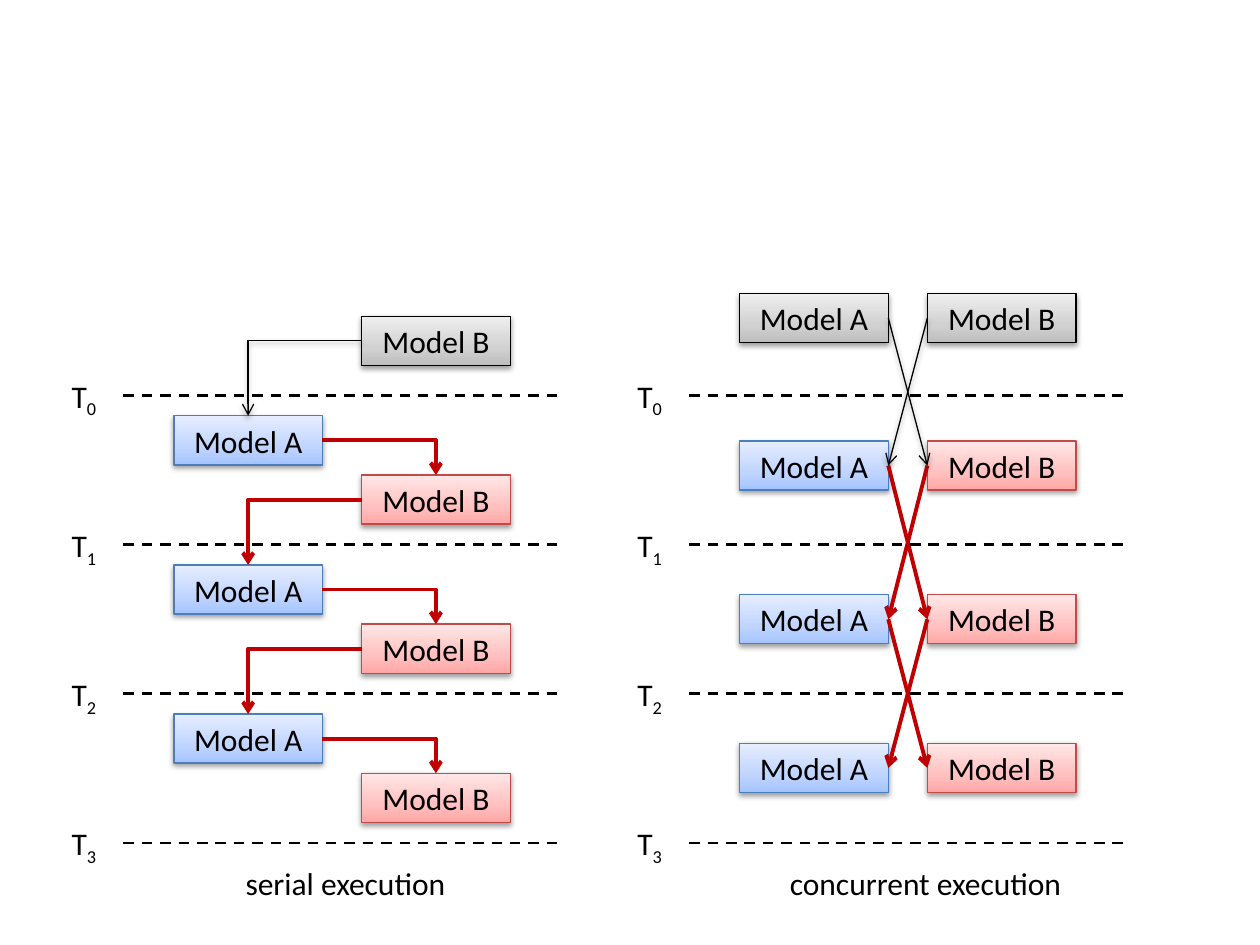
import copy

import lxml.etree
import pptx
import pptx.dml.color
import pptx.enum.dml
import pptx.enum.shapes
import pptx.enum.text
import pptx.oxml.ns
import pptx.util

Inches = pptx.util.Inches
Pt = pptx.util.Pt
qn = pptx.oxml.ns.qn

START, END, STEPS = 3.14, 6.69, 3
STEP = (END - START) / STEPS
PANELS = [
    {
        "caption": "serial execution", "caption_at": (1.85, 1.81),
        "shift": 0, "elbow": True,
        "rows": [(2.51, "B")] + [
            (first + STEP * turn, model)
            for turn in range(STEPS) for first, model in ((3.3, "A"), (3.77, "B"))
        ],
    },
    {
        "caption": "concurrent execution", "caption_at": (6.17, 2.38),
        "shift": 4.49, "elbow": False,
        "rows": [(2.33, "AB"), (3.5, "AB"), (4.72, "AB"), (5.9, "AB")],
    },
]
MODEL_LEFT = {"A": 1.38, "B": 2.87}
BOX_WIDTH, BOX_HEIGHT = 1.18, 0.39
TOP, LEFT, RIGHT = 0, 1, 3
INNER_SIDE = {"A": RIGHT, "B": LEFT}

COLORS = {"text": "000000", "prior": "000000", "exchange": "C00000"}
BOX_COLORS = {
    "A": {"stops": ["A4C4FF", "BFD4FF", "E6EEFF"], "line": "4B7EBC"},
    "B": {"stops": ["FFA6A5", "FFC0BF", "FFE7E7"], "line": "BF4C48"},
    "prior": {"stops": ["BDBDBD", "D1D1D1", "EEEEEE"], "line": "000000"},
}
STOP_POSITIONS = [0, 0.35, 1]


def rgb(value):
    return pptx.dml.color.RGBColor.from_string(value)


def write(frame, text, subscript="", align=pptx.enum.text.PP_ALIGN.LEFT,
          anchor=pptx.enum.text.MSO_ANCHOR.TOP, wrap=False, size=18):
    frame.word_wrap = wrap
    frame.vertical_anchor = anchor
    if not wrap:
        frame.auto_size = pptx.enum.text.MSO_AUTO_SIZE.SHAPE_TO_FIT_TEXT
    para = frame.paragraphs[0]
    para.alignment = align
    for part in filter(None, (text, subscript)):
        span = para.add_run()
        span.text = part
        span.font.size = Pt(size)
        span.font.name = "Calibri"
        span.font.color.rgb = rgb(COLORS["text"])
    if subscript:
        span._r.get_or_add_rPr().set("baseline", "-25000")


def set_effects(shape, shadow):
    properties = shape._element.spPr
    effects = properties.find(qn("a:effectLst"))
    if effects is None:
        effects = lxml.etree.SubElement(properties, qn("a:effectLst"))
    if shadow:
        outer = lxml.etree.SubElement(
            effects, qn("a:outerShdw"), blurRad="40000", dist="20000",
            dir="5400000", rotWithShape="0")
        color = lxml.etree.SubElement(outer, qn("a:srgbClr"), val="000000")
        lxml.etree.SubElement(color, qn("a:alpha"), val="38000")


def add_label(shapes, left, top, width, text, subscript=""):
    label = shapes.add_textbox(Inches(left), Inches(top), Inches(width), Inches(0.4))
    write(label.text_frame, text, subscript=subscript)


def add_model(page, model, left, top, style):
    box = page.shapes.add_shape(
        pptx.enum.shapes.MSO_SHAPE.RECTANGLE,
        Inches(left), Inches(top), Inches(BOX_WIDTH), Inches(BOX_HEIGHT))
    box.fill.gradient()
    box.fill.gradient_angle = 90
    stop_list = box._element.spPr.find(qn("a:gradFill")).find(qn("a:gsLst"))
    stop_list.append(copy.deepcopy(stop_list[0]))
    for stop, position, color in zip(
            box.fill.gradient_stops, STOP_POSITIONS, BOX_COLORS[style]["stops"]):
        stop.position = position
        stop.color.rgb = rgb(color)
    box.line.color.rgb = rgb(BOX_COLORS[style]["line"])
    box.line.width = Pt(0.75)
    box.shadow.inherit = False
    set_effects(box, True)
    write(box.text_frame, "Model " + model, wrap=True,
          align=pptx.enum.text.PP_ALIGN.CENTER,
          anchor=pptx.enum.text.MSO_ANCHOR.MIDDLE)
    return box


def add_line(shapes, start, end, color, width, elbow=False, dashed=False,
             arrow=False, shadow=False):
    kinds = pptx.enum.shapes.MSO_CONNECTOR
    line = shapes.add_connector(
        kinds.ELBOW if elbow else kinds.STRAIGHT, *map(Inches, start + end))
    if elbow:
        line._element.spPr.find(qn("a:prstGeom")).set("prst", "bentConnector2")
    line.line.color.rgb = rgb(color)
    line.line.width = Pt(width)
    if dashed:
        line.line.dash_style = pptx.enum.dml.MSO_LINE.DASH
    if arrow:
        outline = line._element.spPr.find(qn("a:ln"))
        lxml.etree.SubElement(outline, qn("a:tailEnd"), type="arrow")
    set_effects(line, shadow)
    return line


def add_row(page, panel, index):
    top, models = panel["rows"][index]
    return {
        model: add_model(page, model, MODEL_LEFT[model] + panel["shift"], top,
                         model if index else "prior")
        for model in models
    }


def link_rows(page, panel, sources, targets, prior=False):
    for source in sorted(sources, reverse=True):
        for target in targets:
            if source == target:
                continue
            link = add_line(
                page.shapes, (0, 0), (1, 1),
                COLORS["prior" if prior else "exchange"], 0.75 if prior else 2.25,
                elbow=panel["elbow"], arrow=True, shadow=prior)
            link.begin_connect(sources[source], INNER_SIDE[source])
            link.end_connect(targets[target], TOP if panel["elbow"] else INNER_SIDE[target])


def add_timeline(page, shift):
    shapes = page.shapes.add_group_shape().shapes
    levels = [START + STEP * tick for tick in range(STEPS + 1)]
    for level in levels:
        add_line(shapes, (0.98 + shift, level), (4.45 + shift, level),
                 COLORS["text"], 1.5, dashed=True)
    for tick, level in enumerate(levels):
        add_label(shapes, 0.47 + shift, level - 0.2, 0.41, "T", str(tick))


def main():
    deck = pptx.Presentation()
    deck.slide_width, deck.slide_height = Inches(10), Inches(7.5)
    page = deck.slides.add_slide(deck.slide_layouts[6])
    first_rows = []
    for panel in PANELS:
        rows = [add_row(page, panel, index) for index in range(1, len(panel["rows"]))]
        for sources, targets in zip(rows, rows[1:]):
            link_rows(page, panel, sources, targets)
        first_rows.append(rows[0])
    for panel in PANELS:
        add_timeline(page, panel["shift"])
    for panel, first_row in zip(PANELS, first_rows):
        link_rows(page, panel, add_row(page, panel, 0), first_row, prior=True)
    for panel in PANELS:
        left, width = panel["caption_at"]
        add_label(page.shapes, left, 6.81, width, panel["caption"])
    deck.save("out.pptx")


if __name__ == "__main__":
    main()
